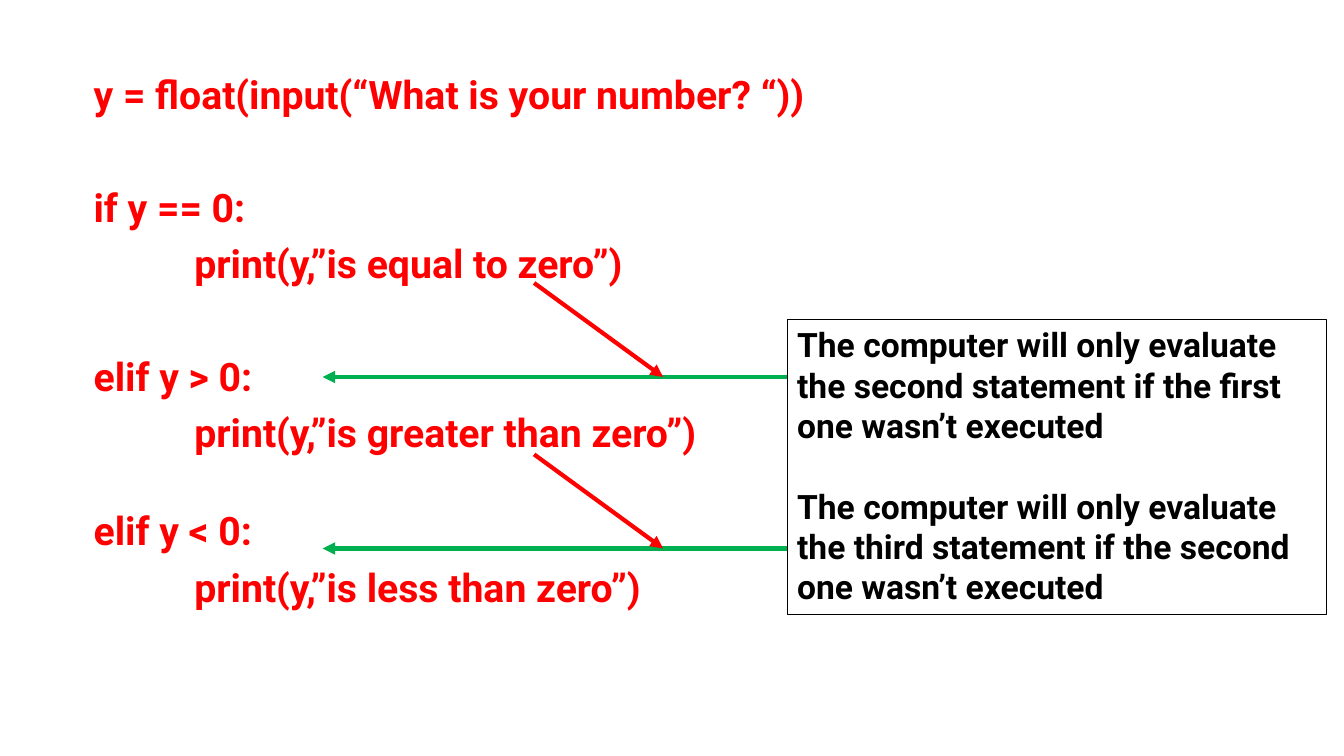
from dataclasses import dataclass

from lxml.etree import SubElement
from pptx import Presentation
from pptx.dml.color import RGBColor as RGB
from pptx.enum.shapes import MSO_CONNECTOR as CONNECTOR, MSO_SHAPE as SHAPE
from pptx.enum.text import MSO_ANCHOR as ANCHOR, PP_ALIGN as ALIGN
from pptx.oxml.ns import qn
from pptx.util import Cm, Pt

# (text, indent level, space before in points)
CODE = [
    ("y = float(input(“What is your number? “))", 0, 0),
    ("if y == 0:", 0, 50.3),
    ("print(y,”is equal to zero”)", 1, 10),
    ("elif y > 0:", 0, 50.3),
    ("print(y,”is greater than zero”)", 1, 10),
    ("elif y < 0:", 0, 40),
    ("print(y,”is less than zero”)", 1, 10),
]
NOTES = [
    ("The computer will only evaluate the second statement if the first one wasn’t executed", 0, 0),
    ("The computer will only evaluate the third statement if the second one wasn’t executed", 0, 28.8),
]


@dataclass(frozen=True)
class Theme:
    font: str = "Roboto"
    code: RGB = RGB(0xFF, 0, 0)
    note: RGB = RGB(0, 0, 0)
    pointer: RGB = RGB(0, 0xB0, 0x50)
    code_size: int = 28
    note_size: int = 24
    border: float = 0.75
    arrow: int = 3


THEME = Theme()
INDENT = Cm(2.54)
CODE_BOX = Cm(2.11), Cm(1.78), Cm(29.21), Cm(14.45)
NOTE_BOX = Cm(19.84), Cm(8.05), Cm(13.59), Cm(7.44)
POINTER_YS = Cm(9.5), Cm(13.82)
POINTER_END = Cm(8.13)
FLOW_START, FLOW_END, FLOW_DROP = Cm(13.46), Cm(16.71), Cm(2.37)


def write_lines(tf, lines, size, color, line_spacing):
    tf.word_wrap = True
    tf.vertical_anchor = ANCHOR.TOP
    for i, (text, level, before) in enumerate(lines):
        p = tf.add_paragraph() if i else tf.paragraphs[0]
        p.text = text
        p.alignment = ALIGN.LEFT
        p.line_spacing = line_spacing
        p.space_before = Pt(before)
        p._p.get_or_add_pPr().set("marL", str(level * INDENT))
        font = p.runs[0].font
        font.name, font.size, font.bold = THEME.font, Pt(size), True
        font.color.rgb = color


def add_arrow(s, x1, y1, x2, y2, color):
    line = s.shapes.add_connector(CONNECTOR.STRAIGHT, x1, y1, x2, y2)
    line.line.color.rgb = color
    line.line.width = Pt(THEME.arrow)
    SubElement(line.line._get_or_add_ln(), qn("a:tailEnd"), type="triangle")
    SubElement(line._element.spPr, qn("a:effectLst"))


def main():
    prs = Presentation()
    prs.slide_width, prs.slide_height = Cm(33.87), Cm(19.05)
    s = prs.slides.add_slide(prs.slide_layouts[6])

    code = s.shapes.add_textbox(*CODE_BOX)
    write_lines(code.text_frame, CODE, THEME.code_size, THEME.code, 0.9)

    note = s.shapes.add_shape(SHAPE.RECTANGLE, *NOTE_BOX)
    note.shadow.inherit = False
    note.fill.background()
    note.line.color.rgb = THEME.note
    note.line.width = Pt(THEME.border)
    write_lines(note.text_frame, NOTES, THEME.note_size, THEME.note, 1.0)

    for y in POINTER_YS:
        add_arrow(s, NOTE_BOX[0], y, POINTER_END, y, THEME.pointer)
    for y in POINTER_YS:
        add_arrow(s, FLOW_START, y - FLOW_DROP, FLOW_END, y, THEME.code)

    prs.save("out.pptx")


if __name__ == "__main__":
    main()
